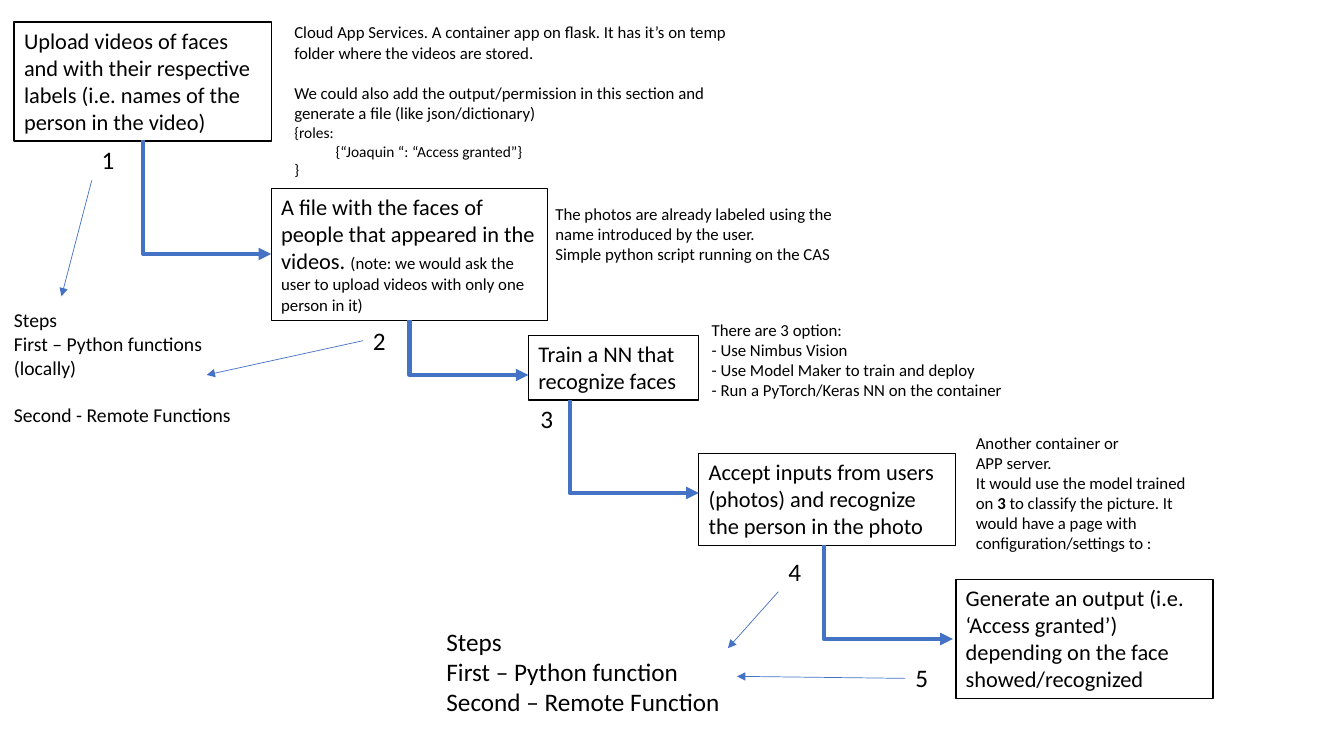
from lxml import etree
from pptx import Presentation
from pptx import util as u
from pptx.dml.color import RGBColor
from pptx.enum import shapes, text
from pptx.oxml import ns

COLORS = {"ink": "000000", "paper": "FFFFFF", "arrow": "4472C4"}


def color(name):
    """Return the named colour."""
    return RGBColor.from_string(COLORS[name])


class Sketch:
    """Style and current slide of the workflow."""

    font = "Calibri"

    def __init__(self, page):
        """Keep the slide that receives the elements."""
        self.page = page

    def fill_text(self, box, paragraphs, size):
        """Fill a box; a paragraph is a string or a dict of spans and format values."""
        frame = box.text_frame
        frame.word_wrap = True
        frame.auto_size = text.MSO_AUTO_SIZE.SHAPE_TO_FIT_TEXT
        frame.vertical_anchor = text.MSO_ANCHOR.TOP
        for index, entry in enumerate(paragraphs):
            if isinstance(entry, str):
                entry = {"spans": [(entry, {})]}
            para = frame.paragraphs[0] if index == 0 else frame.add_paragraph()
            para.alignment = text.PP_ALIGN.LEFT
            para.space_before = u.Pt(entry.get("gap", 0))
            if "indent" in entry:
                para._p.get_or_add_pPr().set("marL", str(u.Inches(entry["indent"])))
            for words, changes in entry["spans"]:
                span = para.add_run()
                span.text = words
                span.font.color.rgb = color("ink")
                values = {"name": self.font, "size": u.Pt(size), **changes}
                for key, value in values.items():
                    setattr(span.font, key, value)

    def note(self, place, paragraphs, size=12):
        """Add free text."""
        box = self.page.shapes.add_textbox(*map(u.Inches, place))
        self.fill_text(box, paragraphs, size)

    def stage(self, place, spans):
        """Add a framed stage of the workflow."""
        box = self.page.shapes.add_shape(
            shapes.MSO_SHAPE.RECTANGLE, *map(u.Inches, place))
        box.shadow.inherit = False
        box.fill.solid()
        box.fill.fore_color.rgb = color("paper")
        box.line.color.rgb = color("ink")
        box.line.width = u.Pt(1)
        self.fill_text(box, [{"spans": spans}], 16)

    def arrow(self, start, end, width=0.5, kind=shapes.MSO_CONNECTOR.STRAIGHT):
        """Add an arrow and return its connector."""
        link = self.page.shapes.add_connector(kind, *map(u.Inches, start + end))
        link.line.color.rgb = color("arrow")
        link.line.width = u.Pt(width)
        tip = etree.SubElement(link.line._get_or_add_ln(), ns.qn("a:tailEnd"))
        tip.set("type", "triangle")
        etree.SubElement(link._element.spPr, ns.qn("a:effectLst"))
        return link

    def elbow(self, start, end):
        """Add a thick arrow that goes down, then right, as a turned one-bend connector."""
        (left, top), (right, bottom) = start, end
        mid_x, mid_y = (left + right) / 2, (top + bottom) / 2
        half_x, half_y = (bottom - top) / 2, (right - left) / 2
        link = self.arrow((mid_x + half_x, mid_y - half_y),
                          (mid_x - half_x, mid_y + half_y),
                          3, shapes.MSO_CONNECTOR.ELBOW)
        properties = link._element.spPr
        properties.find(ns.qn("a:xfrm")).set("rot", str(270 * 60000))
        properties.find(ns.qn("a:prstGeom")).set("prst", "bentConnector2")


deck = Presentation()
deck.slide_width, deck.slide_height = u.Inches(13.33), u.Inches(7.5)
sketch = Sketch(deck.slides.add_slide(deck.slide_layouts[6]))

STAGES = [
    ((0.14, 0.22, 2.55, 1.18),
     [("Upload videos of faces and with their respective labels "
       "(i.e. names of the person in the video)", {})]),
    ((2.69, 1.87, 2.74, 1.31),
     [("A file with the faces of people that appeared in the videos. ", {}),
      ("(note: we would ask the user to upload videos with only one person in it)",
       {"size": u.Pt(12)})]),
    ((5.24, 3.33, 1.69, 0.64), [("Train a NN that recognize faces", {})]),
    ((6.93, 4.5, 2.55, 0.91),
     [("Accept inputs from users (photos) and recognize the person in the photo", {})]),
    ((9.48, 5.75, 2.55, 1.18),
     [("Generate an output (i.e. ‘Access granted’) depending on the face "
       "showed/recognized", {})]),
]
for place, spans in STAGES:
    sketch.stage(place, spans)

ELBOWS = [
    ((1.42, 1.39), (2.69, 2.52)),
    ((4.06, 3.18), (5.24, 3.72)),
    ((5.65, 3.97), (6.93, 4.89)),
    ((8.17, 5.41), (9.45, 6.34)),
]
for start, end in ELBOWS:
    sketch.elbow(start, end)

code = {"size": u.Pt(11)}
NOTES = [
    ((2.82, 0.17, 4.49, 1.72), [
        "Cloud App Services. A container app on flask. It has it’s on temp folder "
        "where the videos are stored.",
        {"spans": [("We could also add the output/permission in this section and "
                    "generate a file (like json/dictionary)", {})], "gap": 14.6},
        {"spans": [("{roles:", code)]},
        {"spans": [("{“Joaquin “: “Access granted”}", code)], "indent": 0.41},
        {"spans": [("}", code)]},
    ]),
    ((5.41, 1.97, 3.17, 0.71), [
        "The photos are already labeled using the name introduced by the user.",
        "Simple python script running on the CAS",
    ]),
    ((6.96, 3.12, 3.24, 0.91), [
        "There are 3 option:",
        "- Use Nimbus Vision",
        "- Use Model Maker to train and deploy",
        "- Run a PyTorch/Keras NN on the container",
    ]),
    ((9.58, 4.24, 2.48, 1.31), [
        "Another container or",
        "APP server.",
        {"spans": [("It would use the model trained on ", {}), ("3", {"bold": True}),
                   (" to classify the picture. It would have a page with "
                    "configuration/settings to :", {})]},
    ]),
]
for place, paragraphs in NOTES:
    sketch.note(place, paragraphs)

NUMBER_SPOTS = [(0.91, 1.38), (3.6, 3.18), (5.26, 3.95), (7.72, 5.47), (8.98, 6.52)]
for number, spot in enumerate(NUMBER_SPOTS, 1):
    sketch.note(spot + (0.28, 0.4), [str(number)], 18)

sketch.note((0.04, 3.01, 2.4, 1.51), [
    "Steps",
    "First – Python functions (locally)",
    {"spans": [("Second - Remote Functions", {})], "gap": 17},
], 14)
sketch.note((4.33, 6.16, 3.07, 1.01), [
    "Steps",
    "First – Python function",
    "Second – Remote Function",
], 18)

STEP_ARROWS = [
    ((0.91, 1.79), (0.61, 2.94)),
    ((3.6, 3.38), (2.05, 3.72)),
    ((7.72, 5.87), (7.22, 6.43)),
    ((8.98, 6.73), (7.31, 6.71)),
]
for start, end in STEP_ARROWS:
    sketch.arrow(start, end)

deck.save("out.pptx")
